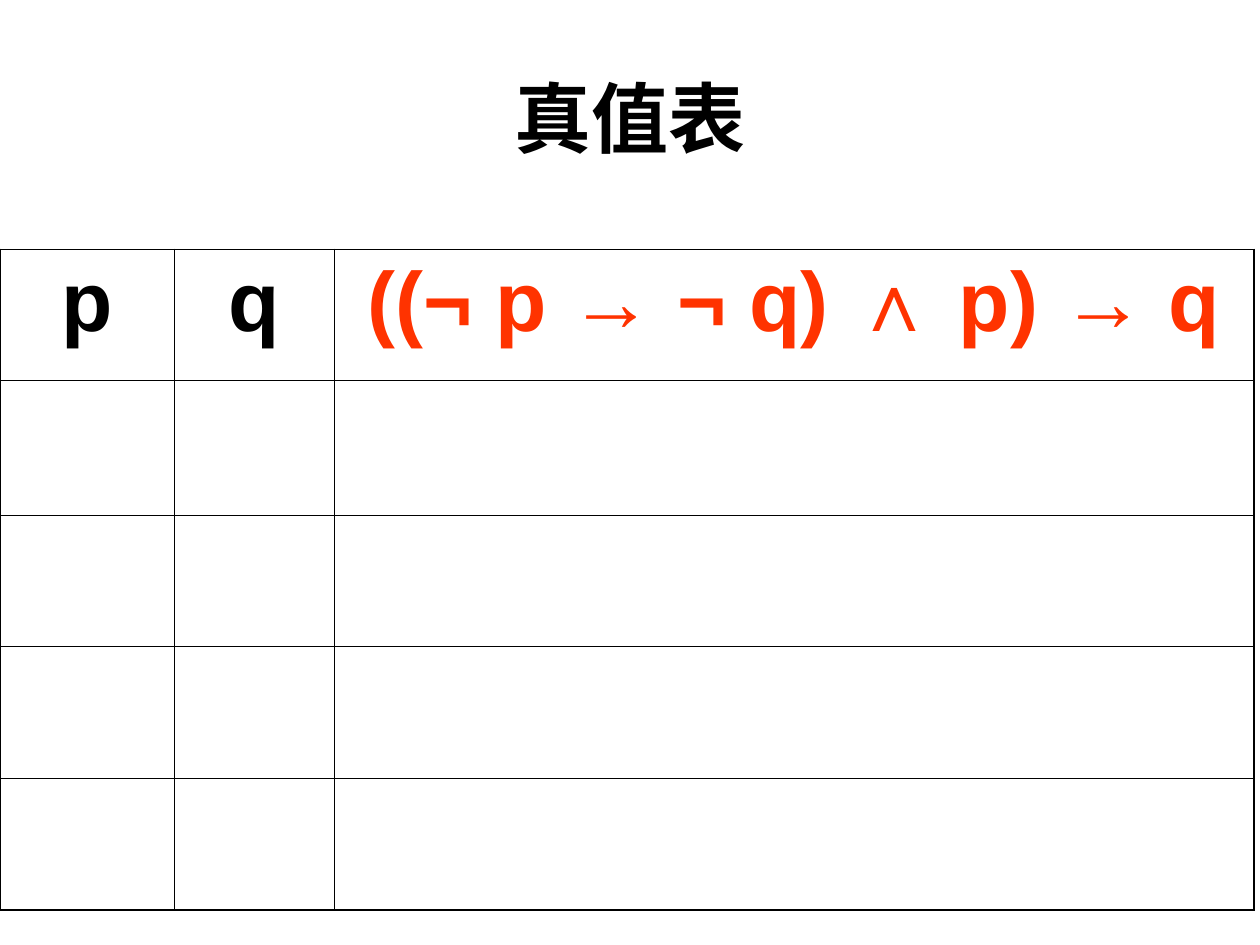
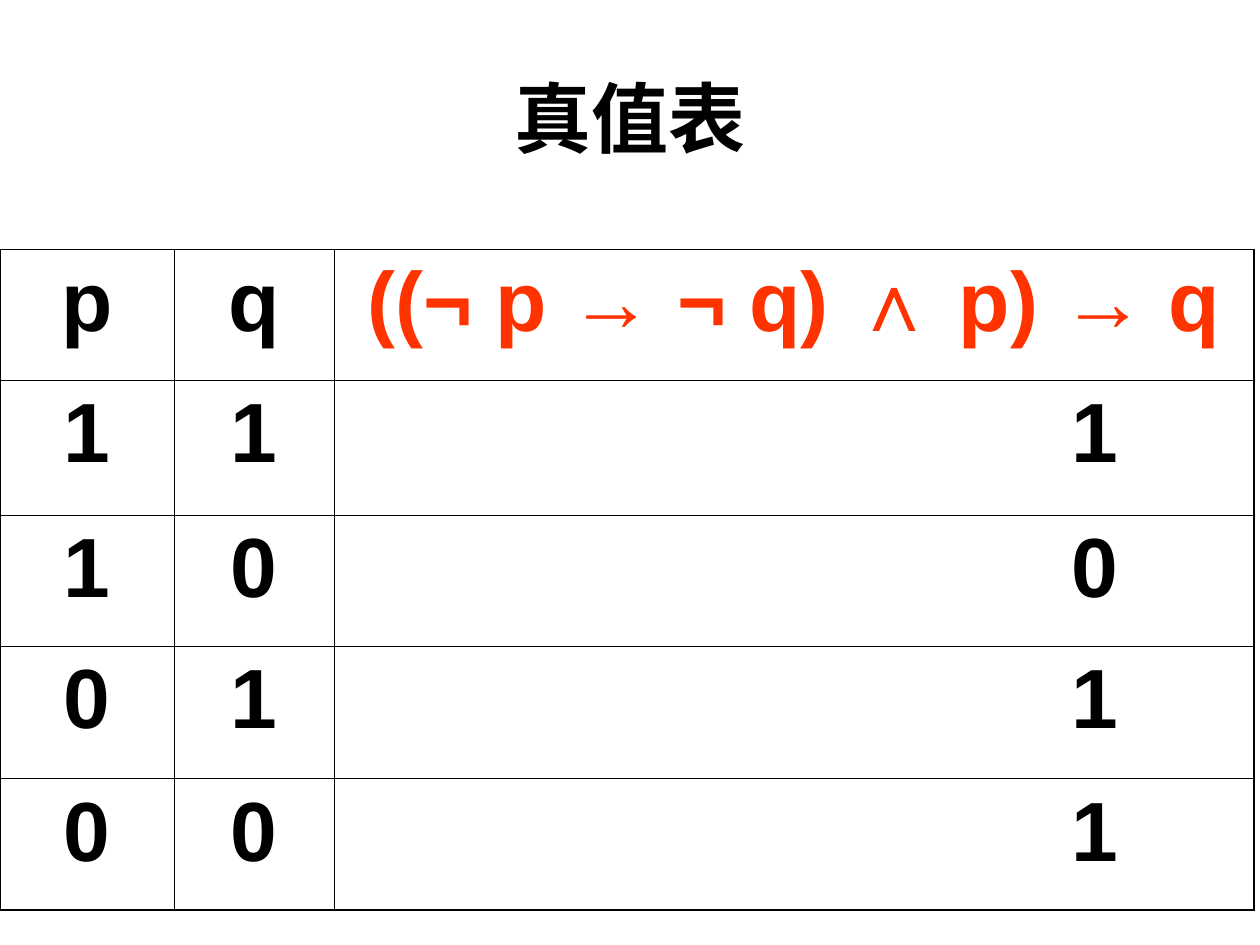
from lxml.etree import SubElement
from pptx import Presentation
from pptx.dml.color import RGBColor
from pptx.enum.text import MSO_ANCHOR, PP_ALIGN
from pptx.oxml.ns import qn
from pptx.util import Cm, Pt

COLOURS = {"ink": "000000", "formula": "FF3300"}
TITLE = "真值表"
HEADINGS = ["p", "q", "((¬ p → ¬ q) ∧ p) → q"]
EMPTY_ROWS = [[""] * 3 for _ in range(4)]
TRUTH_ROWS = [["1", "1", "1"], ["1", "0", "0"], ["0", "1", "1"], ["0", "0", "1"]]
COLUMN_WIDTHS = [3.51, 3.23, 18.54]
ROW_HEIGHTS = [2.64, 2.72, 2.64, 2.67, 2.64]
RESULT_INDENT = 14.6
OUTER_LINE, INNER_LINE = 1.08, 0.45


class SlideBuilder:
    formats = {
        "title": {"name": "Arial", "size": Pt(44), "bold": True},
        "cell": {"name": "Arial", "size": Pt(48), "bold": True},
    }

    def __init__(self, deck):
        self.deck = deck
        self.page = None

    def add_page(self):
        self.page = self.deck.slides.add_slide(self.deck.slide_layouts[6])

    def add_text(self, frame, text, style, colour="ink", indent=None):
        para = frame.paragraphs[0]
        if indent is None:
            para.alignment = PP_ALIGN.CENTER
        else:
            para.alignment = PP_ALIGN.LEFT
            properties = para._p.get_or_add_pPr()
            properties.set("marL", str(Cm(indent)))
            properties.set("indent", "0")
        span = para.add_run()
        span.text = text
        for attribute, value in self.formats[style].items():
            setattr(span.font, attribute, value)
        span.font.color.rgb = RGBColor.from_string(COLOURS[colour])

    def add_title(self, text):
        box = self.page.shapes.add_textbox(Cm(1.27), Cm(0.76), Cm(22.86), Cm(3.18))
        frame = box.text_frame
        frame.word_wrap = True
        frame.vertical_anchor = MSO_ANCHOR.MIDDLE
        self.add_text(frame, text, "title")

    def add_borders(self, cell, widths):
        properties = cell._tc.get_or_add_tcPr()
        for position, (side, width) in enumerate(widths.items()):
            line = SubElement(properties, qn(f"a:ln{side}"), w=str(Pt(width)))
            fill = SubElement(line, qn("a:solidFill"))
            SubElement(fill, qn("a:srgbClr"), val=COLOURS["ink"])
            properties.insert(position, line)

    def add_truth_table(self, rows):
        row_count, column_count = len(rows), len(rows[0])
        table = self.page.shapes.add_table(
            row_count, column_count, Cm(0), Cm(5.03),
            Cm(sum(COLUMN_WIDTHS)), Cm(sum(ROW_HEIGHTS)),
        ).table
        table.first_row = table.horz_banding = False
        for column, width in zip(table.columns, COLUMN_WIDTHS):
            column.width = Cm(width)
        for row, height in zip(table.rows, ROW_HEIGHTS):
            row.height = Cm(height)
        for r, values in enumerate(rows):
            for c, value in enumerate(values):
                cell = table.cell(r, c)
                cell.fill.background()
                edges = {"L": c == 0, "R": c == column_count - 1,
                         "T": r == 0, "B": r == row_count - 1}
                self.add_borders(cell, {
                    side: OUTER_LINE if outer else INNER_LINE
                    for side, outer in edges.items()
                })
                if value:
                    in_result = c == column_count - 1
                    self.add_text(
                        cell.text_frame, value, "cell",
                        "formula" if in_result and r == 0 else "ink",
                        RESULT_INDENT if in_result and r > 0 else None,
                    )


def main():
    deck = Presentation()
    deck.slide_width, deck.slide_height = Cm(25.4), Cm(19.05)
    builder = SlideBuilder(deck)
    for rows in (EMPTY_ROWS, TRUTH_ROWS):
        builder.add_page()
        builder.add_title(TITLE)
        builder.add_truth_table([HEADINGS] + rows)
    deck.save("out.pptx")


if __name__ == "__main__":
    main()
